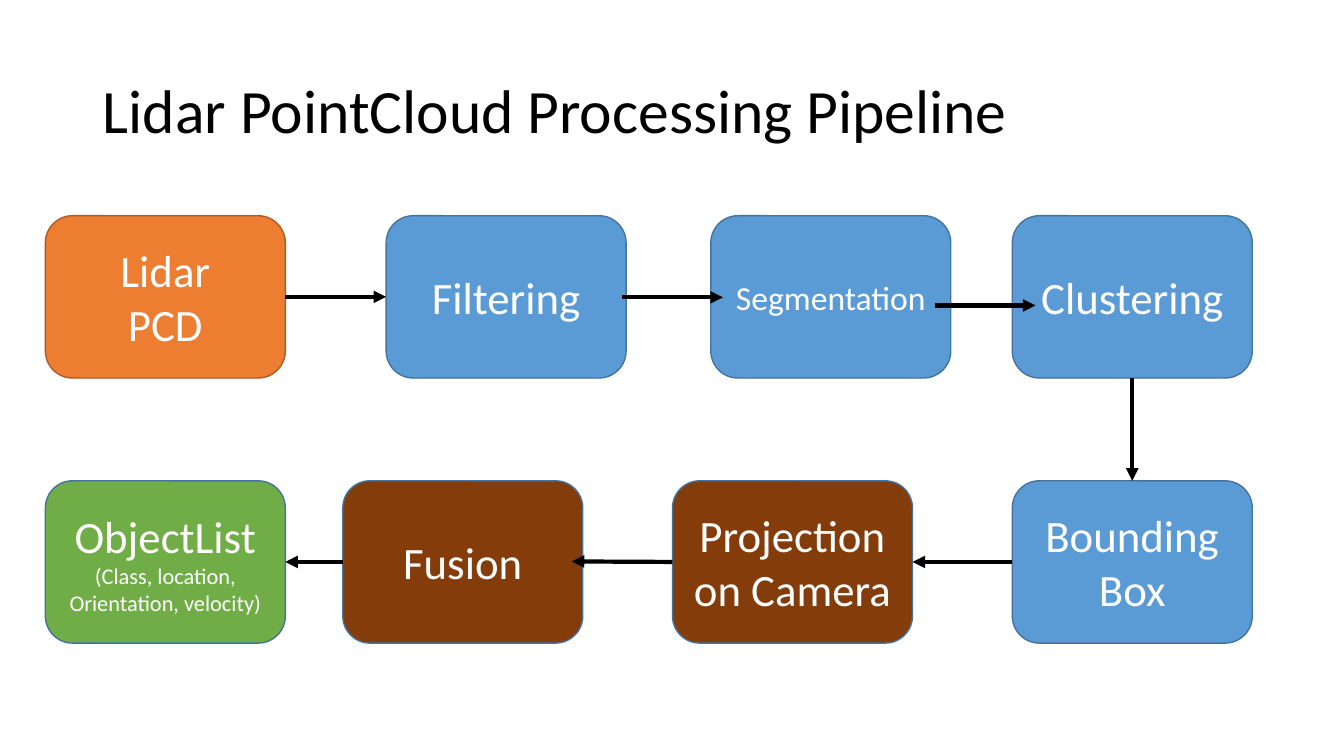
from lxml import etree
from pptx import Presentation
from pptx.dml.color import RGBColor
from pptx.enum.shapes import MSO_CONNECTOR, MSO_SHAPE
from pptx.enum.text import MSO_ANCHOR, MSO_AUTO_SIZE, PP_ALIGN
from pptx.oxml.ns import qn
from pptx.util import Inches, Pt

ROUND = MSO_SHAPE.ROUNDED_RECTANGLE
LINE = MSO_CONNECTOR.STRAIGHT
MIDDLE = MSO_ANCHOR.MIDDLE
LEFT, CENTER = PP_ALIGN.LEFT, PP_ALIGN.CENTER
NO_FIT = MSO_AUTO_SIZE.NONE

COLORS = {
    "black": "000000", "white": "FFFFFF", "orange": "ED7D31", "rust": "AF5C24",
    "blue": "5B9BD5", "navy": "43739E", "brown": "843C0B", "green": "70AD47",
}
WIDE, HIGH = 2.38, 1.61
TOP, LOW = 2.14, 4.77
BOXES = {
    "lidar": (0.45, TOP, "orange", "rust", [("Lidar\nPCD", 32)]),
    "filter": (3.83, TOP, "blue", "navy", [("Filtering", 32)]),
    "segment": (7.05, TOP, "blue", "navy", [("Segmentation", 24)]),
    "cluster": (10.04, TOP, "blue", "navy", [("Clustering", 32)]),
    "bound": (10.04, LOW, "blue", "navy", [("Bounding\nBox", 32)]),
    "project": (6.67, LOW, "brown", "navy", [("Projection on Camera", 32)]),
    "fusion": (3.4, LOW, "brown", "navy", [("Fusion", 32)]),
    "objects": (0.45, LOW, "green", "navy",
                [("ObjectList", 32), ("(Class, location, Orientation, velocity)", 16)]),
}
# Each end is a point, with the box and side it joins where there is one.
ARROWS = [
    ((2.83, 2.95), (3.83, 2.95), ("lidar", 3), ("filter", 1)),
    ((6.17, 2.95), (7.17, 2.95), None, None),
    ((9.27, 3.03), (10.27, 3.03), None, None),
    ((11.23, 3.75), (11.23, 4.77), ("cluster", 2), ("bound", 0)),
    ((10.04, 5.57), (9.04, 5.57), ("bound", 1), ("project", 3)),
    ((6.67, 5.57), (5.67, 5.57), ("project", 1), None),
    ((3.4, 5.57), (2.83, 5.57), ("fusion", 1), ("objects", 3)),
]


def tint(name):
    return RGBColor.from_string(COLORS[name])


def apply(target, values):
    for name, value in values.items():
        setattr(target, name, value)


class Deck:
    """Holds the style and the current slide."""

    font = "Calibri"

    def __init__(self):
        self.file = Presentation()
        apply(self.file, {"slide_width": Inches(13.33), "slide_height": Inches(7.5)})
        self.slide = self.file.slides.add_slide(self.file.slide_layouts[5])
        self.boxes = {}

    def style(self, run, size, color):
        apply(run.font, {"name": self.font, "size": Pt(size)})
        run.font.color.rgb = tint(color)

    def title(self, text):
        shape = self.slide.shapes.title
        apply(shape, {"left": Inches(0.92), "top": Inches(0.4),
                      "width": Inches(11.5), "height": Inches(1.45)})
        frame = shape.text_frame
        frame.text = text
        apply(frame, {"vertical_anchor": MIDDLE, "auto_size": NO_FIT, "word_wrap": True})
        para = frame.paragraphs[0]
        apply(para, {"alignment": LEFT, "line_spacing": 0.9})
        self.style(para.runs[0], 44, "black")

    def box(self, name, left, top, fill, edge, lines):
        shape = self.slide.shapes.add_shape(
            ROUND, Inches(left), Inches(top), Inches(WIDE), Inches(HIGH))
        shape.shadow.inherit = False
        shape.fill.solid()
        shape.fill.fore_color.rgb = tint(fill)
        shape.line.color.rgb = tint(edge)
        shape.line.width = Pt(1)
        frame = shape.text_frame
        apply(frame, {"vertical_anchor": MIDDLE, "word_wrap": True})
        para = frame.paragraphs[0]
        para.alignment = CENTER
        rows = [(row, size) for text, size in lines for row in text.split("\n")]
        for index, (row, size) in enumerate(rows):
            if index:
                para.add_line_break()
            run = para.add_run()
            run.text = row
            self.style(run, size, "white")
        self.boxes[name] = shape

    def arrow(self, start, end, tail, head):
        line = self.slide.shapes.add_connector(LINE, *map(Inches, start + end))
        if tail:
            line.begin_connect(self.boxes[tail[0]], tail[1])
        if head:
            line.end_connect(self.boxes[head[0]], head[1])
        line.line.color.rgb = tint("black")
        line.line.width = Pt(3)
        props = line.element.spPr
        etree.SubElement(props.find(qn("a:ln")), qn("a:tailEnd"), type="triangle")
        etree.SubElement(props, qn("a:effectLst"))


def main():
    deck = Deck()
    deck.title("Lidar PointCloud Processing Pipeline")
    for name, values in BOXES.items():
        deck.box(name, *values)
    for values in ARROWS:
        deck.arrow(*values)
    deck.file.save("out.pptx")


if __name__ == "__main__":
    main()
